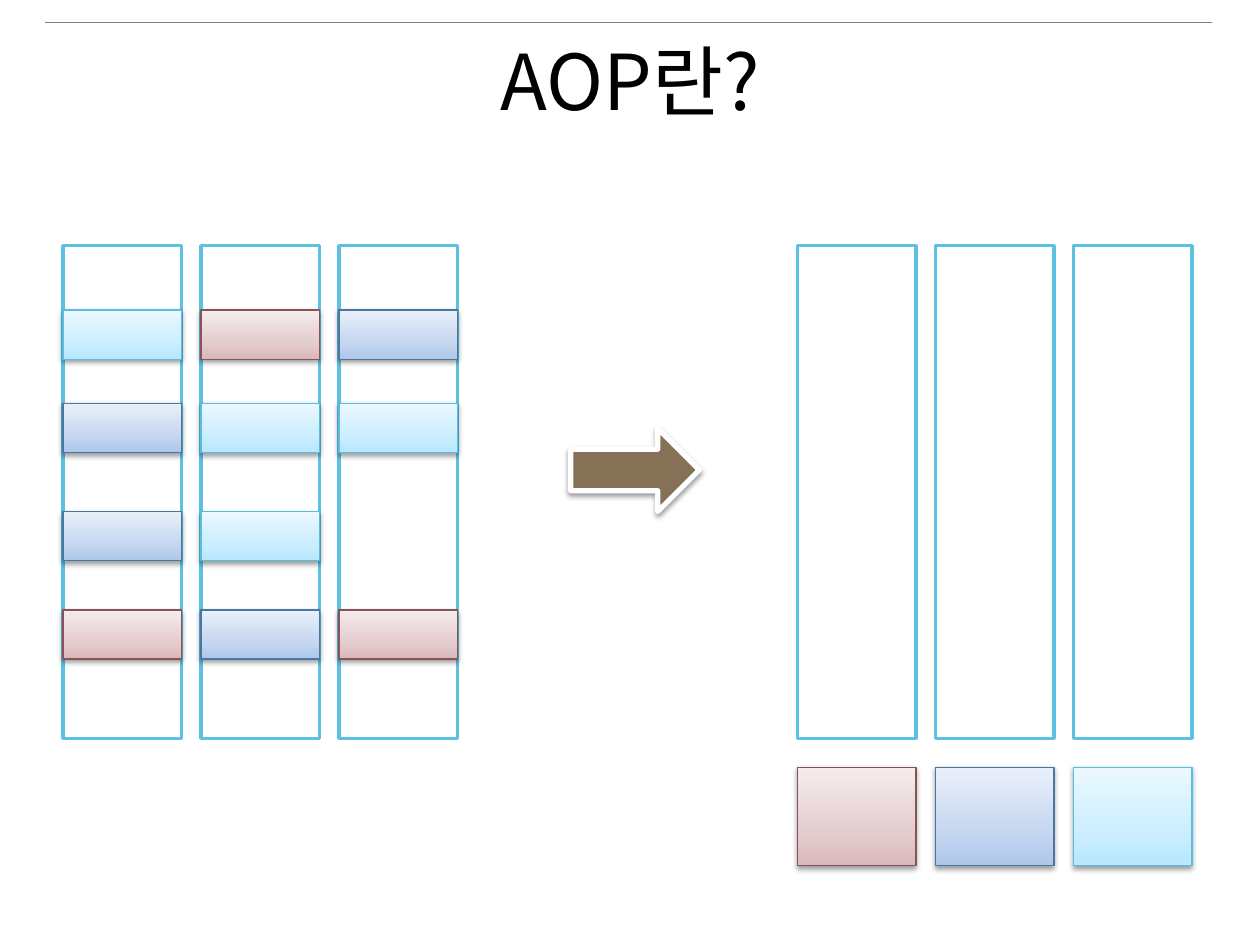
from copy import deepcopy
from pptx import Presentation
from pptx.dml.color import RGBColor
from pptx.enum.shapes import MSO_CONNECTOR, MSO_SHAPE
from pptx.enum.text import MSO_ANCHOR, PP_ALIGN
from pptx.oxml import parse_xml
from pptx.oxml.ns import nsdecls, qn
from pptx.util import Inches, Pt

FONT = "Noto Sans CJK KR"
COLUMN_WIDTH = 0.94
COLUMN_STEP = 1.095
COLUMN_HEIGHT = 3.91
BLOCK_HEIGHT = COLUMN_HEIGHT / 10
BLOCK_ROWS = [0.51, 1.25, 2.11, 2.89]
CONCERNS = {
    "sky": (["B7E7FF", "CCEEFF", "EBF8FF"], "58BEE1"),
    "blue": (["ADC7EB", "C6D7F0", "E9F0FA"], "4B769F"),
    "rose": (["DAB8BA", "E4CDCF", "F5ECEC"], "865358"),
}
SCATTERED = [
    ["sky", "rose", "blue"],
    ["blue", "sky", "sky"],
    ["blue", "sky", None],
    ["rose", "blue", "rose"],
]
SEPARATED = ["rose", "blue", "sky"]


def color(value):
    return RGBColor.from_string(value)


def add_figure(page, kind, box, line_color, line_width):
    figure = page.shapes.add_shape(kind, *[Inches(length) for length in box])
    figure.shadow.inherit = False
    figure.line.color.rgb = color(line_color)
    figure.line.width = Pt(line_width)
    return figure


def fill_solid(figure, value):
    figure.fill.solid()
    figure.fill.fore_color.rgb = color(value)


def fill_gradient(figure, values):
    figure.fill.gradient()
    figure.fill.gradient_angle = 90
    stops = figure._element.spPr.find(qn("a:gradFill")).find(qn("a:gsLst"))
    stops.insert(1, deepcopy(stops[0]))
    for stop, position, value in zip(figure.fill.gradient_stops, [0, 0.35, 1], values):
        stop.position = position
        stop.color.rgb = color(value)


def add_shadow(figure):
    effects = figure._element.spPr.find(qn("a:effectLst"))
    effects.append(parse_xml(
        f'<a:outerShdw {nsdecls("a")} blurRad="{Pt(3.1)}" dist="{Pt(1.6)}" '
        'dir="5400000" rotWithShape="0"><a:srgbClr val="000000">'
        '<a:alpha val="38000"/></a:srgbClr></a:outerShdw>'
    ))


def add_header(page, left, top, width, height):
    rule = page.shapes.add_connector(
        MSO_CONNECTOR.STRAIGHT, Inches(0.36), Inches(0.18), Inches(9.62), Inches(0.18)
    )
    rule.line.color.rgb = color("808080")
    rule.line.width = Pt(0.25)
    rule._element.spPr.append(parse_xml(f'<a:effectLst {nsdecls("a")}/>'))
    box = page.shapes.add_textbox(Inches(left), Inches(top), Inches(width), Inches(height))
    box.text_frame.word_wrap = True
    box.text_frame.vertical_anchor = MSO_ANCHOR.TOP
    para = box.text_frame.paragraphs[0]
    para.alignment = PP_ALIGN.CENTER
    para.line_spacing = 0.9
    span = para.add_run()
    span.text = "AOP란?"
    span.font.name = FONT
    span.font.size = Pt(44)
    span.font.color.rgb = color("000000")
    span._r.rPr.append(parse_xml(f'<a:ea {nsdecls("a")} typeface="{FONT}"/>'))


def add_columns(page, left, top):
    for column in range(3):
        box = (left + column * COLUMN_STEP, top, COLUMN_WIDTH, COLUMN_HEIGHT)
        fill_solid(add_figure(page, MSO_SHAPE.RECTANGLE, box, "5DC1E3", 2), "FFFFFF")


def add_concerns(page, left, top, height, names):
    for column, name in enumerate(names):
        if name is None:
            continue
        gradient, outline = CONCERNS[name]
        box = (left + column * COLUMN_STEP, top, COLUMN_WIDTH, height)
        block = add_figure(page, MSO_SHAPE.RECTANGLE, box, outline, 0.75)
        fill_gradient(block, gradient)
        add_shadow(block)


def add_scattered_modules(page, left, top):
    add_columns(page, left, top)
    for offset, names in zip(BLOCK_ROWS, SCATTERED):
        add_concerns(page, left, top + offset, BLOCK_HEIGHT, names)


def add_separated_modules(page, left, top):
    add_columns(page, left, top)
    add_concerns(page, left, top + COLUMN_HEIGHT + 0.23, 2 * BLOCK_HEIGHT, SEPARATED)


def add_arrow(page, left, top, width, height):
    box = (left, top, width, height)
    arrow = add_figure(page, MSO_SHAPE.RIGHT_ARROW, box, "FFFFFF", 3)
    fill_solid(arrow, "857155")
    add_shadow(arrow)


def main():
    deck = Presentation()
    deck.slide_width = Inches(10)
    deck.slide_height = Inches(7.5)
    page = deck.slides.add_slide(deck.slide_layouts[6])
    add_header(page, 0.5, 0.3, 9, 1.25)
    add_scattered_modules(page, 0.5, 1.95)
    add_separated_modules(page, 6.33, 1.95)
    add_arrow(page, 4.53, 3.4, 1.02, 0.66)
    deck.save("out.pptx")


if __name__ == "__main__":
    main()
